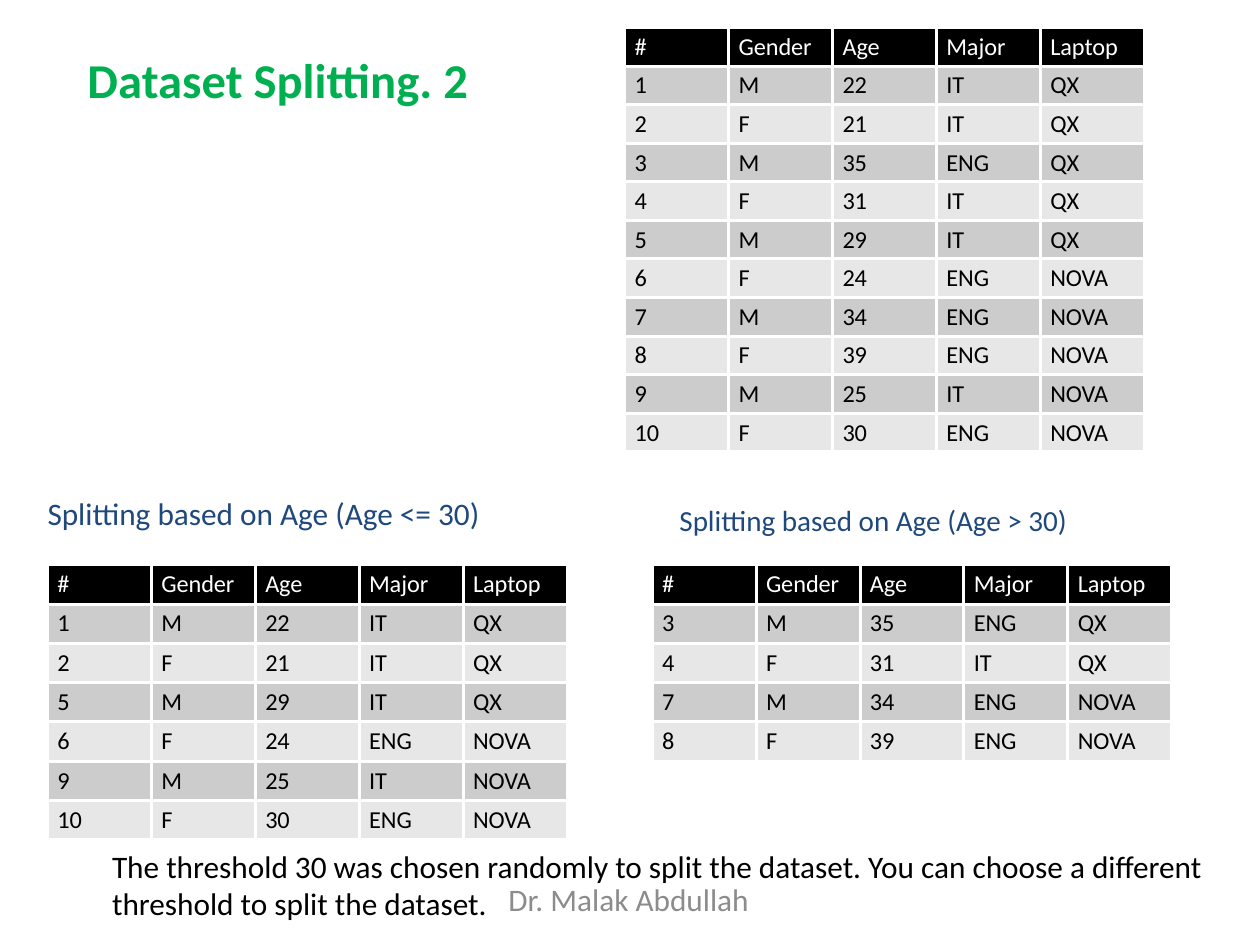
from lxml.etree import SubElement
from pptx import Presentation
from pptx.dml.color import RGBColor
from pptx.enum.text import MSO_ANCHOR as ANCHOR, PP_ALIGN as ALIGN
from pptx.oxml.ns import qn
from pptx.util import Inches, Pt

FONT = "Calibri"
WHITE, BLACK, GREEN, NAVY, GRAY = "FFFFFF", "000000", "00B050", "1F497D", "8C8C8C"
BANDS = ["CCCCCC", "E7E7E7"]
TABLE_W = 2.08
FULL_ROW_H, SPLIT_ROW_H = 1.7 / 11, 1.1 / 7
CELL_FORMAT = {
    "margin_left": Inches(0.04), "margin_right": Inches(0.04),
    "margin_top": Inches(0.02), "margin_bottom": Inches(0.01),
}
THRESHOLD = 30
HEADER = ["#", "Gender", "Age", "Major", "Laptop"]
PEOPLE = [
    (1, "M", 22, "IT", "QX"),
    (2, "F", 21, "IT", "QX"),
    (3, "M", 35, "ENG", "QX"),
    (4, "F", 31, "IT", "QX"),
    (5, "M", 29, "IT", "QX"),
    (6, "F", 24, "ENG", "NOVA"),
    (7, "M", 34, "ENG", "NOVA"),
    (8, "F", 39, "ENG", "NOVA"),
    (9, "M", 25, "IT", "NOVA"),
    (10, "F", 30, "ENG", "NOVA"),
]


def rgb(value):
    return RGBColor.from_string(value)


def write(p, text, size, color, bold=False):
    r = p.add_run()
    r.text = text
    r.font.color.rgb = rgb(color)
    for name, value in {"name": FONT, "size": Pt(size), "bold": bold}.items():
        setattr(r.font, name, value)


def add_text(slide, box, text, size, color, bold=False, inset=(0, 0),
             anchor=ANCHOR.TOP, align=ALIGN.LEFT):
    tf = slide.shapes.add_textbox(*map(Inches, box)).text_frame
    side, end = map(Inches, inset)
    layout = {
        "word_wrap": True, "vertical_anchor": anchor,
        "margin_left": side, "margin_right": side,
        "margin_top": end, "margin_bottom": end,
    }
    for name, value in layout.items():
        setattr(tf, name, value)
    tf.paragraphs[0].alignment = align
    write(tf.paragraphs[0], text, size, color, bold)


def add_borders(cell):
    tcPr = cell._tc.get_or_add_tcPr()
    for i, side in enumerate(["lnL", "lnR", "lnT", "lnB"]):
        ln = SubElement(tcPr, qn(f"a:{side}"), w=str(Pt(1)))
        fill = SubElement(ln, qn("a:solidFill"))
        SubElement(fill, qn("a:srgbClr"), val=WHITE)
        tcPr.insert(i, ln)  # borders come before the cell fill


def add_people_table(slide, left, top, row_h, people):
    rows = [HEADER, *people]
    frame = slide.shapes.add_table(
        len(rows), len(HEADER), Inches(left), Inches(top),
        Inches(TABLE_W), Inches(row_h * len(rows)))
    table = frame.table
    for col in table.columns:
        col.width = Inches(TABLE_W / len(HEADER))
    for i, values in enumerate(rows):
        table.rows[i].height = Inches(row_h)
        back, ink = (BANDS[(i - 1) % 2], BLACK) if i else (BLACK, WHITE)
        for j, value in enumerate(values):
            cell = table.cell(i, j)
            for name, setting in CELL_FORMAT.items():
                setattr(cell, name, setting)
            cell.fill.solid()
            cell.fill.fore_color.rgb = rgb(back)
            add_borders(cell)
            write(cell.text_frame.paragraphs[0], str(value), 7, ink)


def add_splitting_slide(prs):
    slide = prs.slides.add_slide(prs.slide_layouts[6])
    young = [person for person in PEOPLE if person[2] <= THRESHOLD]
    older = [person for person in PEOPLE if person[2] > THRESHOLD]

    # Title
    add_text(slide, (0.35, 0.2, 4.35, 0.24), "Dataset Splitting. 2", 14, GREEN, bold=True)

    # Left half of the split
    add_text(slide, (0.19, 1.98, TABLE_W, 0.15),
             f"Splitting based on Age (Age <= {THRESHOLD})", 9, NAVY, anchor=ANCHOR.BOTTOM)
    add_people_table(slide, 0.19, 2.26, SPLIT_ROW_H, young)

    # Right half of the split
    add_text(slide, (2.62, 1.96, TABLE_W, 0.24),
             f"Splitting based on Age (Age > {THRESHOLD})", 8.4, NAVY,
             inset=(0.1, 0.05), anchor=ANCHOR.BOTTOM)
    add_people_table(slide, 2.61, 2.26, SPLIT_ROW_H, older)

    # Note on the threshold
    add_text(slide, (0.35, 3.34, 4.59, 0.4),
             f"The threshold {THRESHOLD} was chosen randomly to split the dataset. "
             "You can choose a different threshold to split the dataset.",
             9, BLACK, inset=(0.1, 0.05))

    # Full dataset
    add_people_table(slide, 2.5, 0.11, FULL_ROW_H, PEOPLE)

    # Footer
    add_text(slide, (1.71, 3.52, 1.61, 0.15), "Dr. Malak Abdullah", 9, GRAY,
             align=ALIGN.CENTER)


def main():
    prs = Presentation()
    prs.slide_width, prs.slide_height = Inches(363 / 72), Inches(272.5 / 72)
    add_splitting_slide(prs)
    prs.save("out.pptx")


if __name__ == "__main__":
    main()
